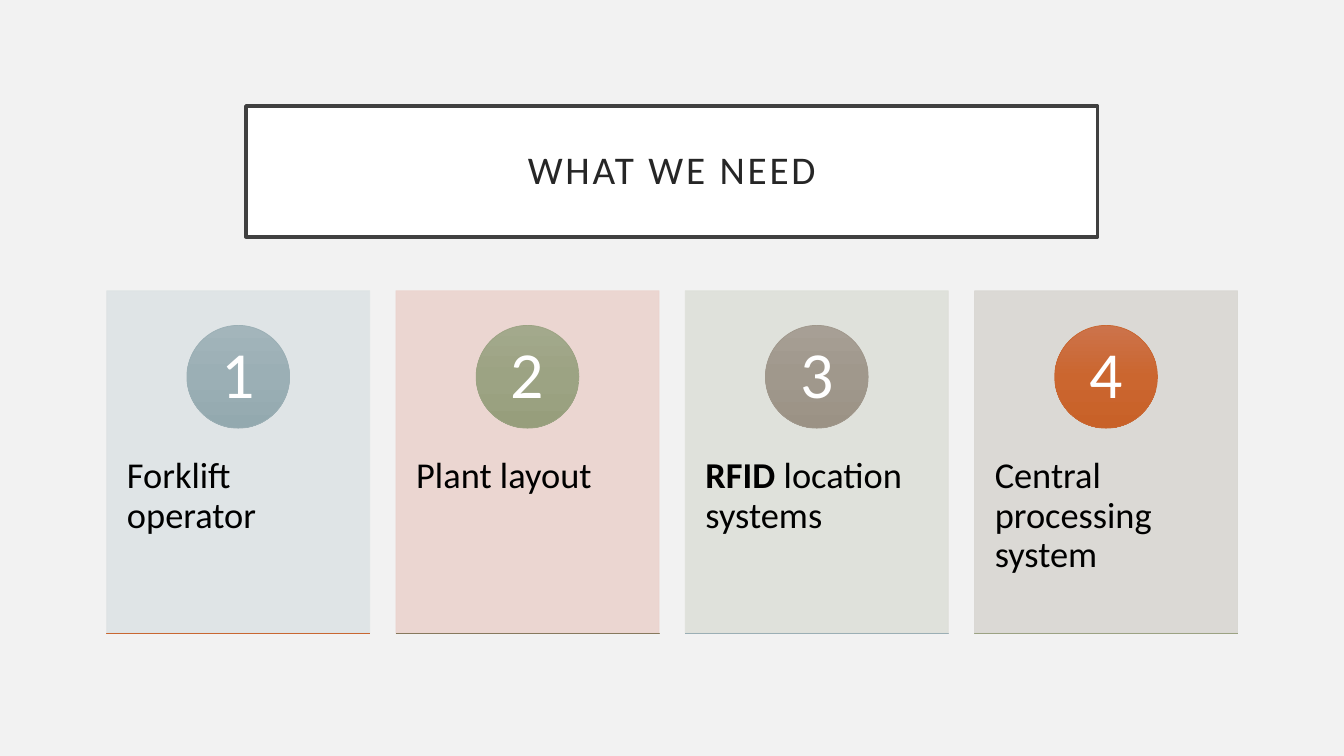
from copy import deepcopy
from dataclasses import dataclass

from lxml.etree import SubElement
from pptx import Presentation
from pptx.dml.color import RGBColor
from pptx.enum.shapes import MSO_SHAPE
from pptx.enum.text import MSO_ANCHOR, MSO_AUTO_SIZE, PP_ALIGN
from pptx.oxml.ns import qn
from pptx.shapes.autoshape import Shape
from pptx.slide import Slide
from pptx.util import Cm, Pt


@dataclass(frozen=True)
class Tone:
    line: str
    stops: tuple[str, str, str]


@dataclass(frozen=True)
class Theme:
    font: str = "Calibri"
    background: str = "F2F2F2"
    title_fill: str = "FFFFFF"
    title_line: str = "404040"
    title_text: str = "262626"
    body_text: str = "000000"
    number_text: str = "FFFFFF"
    title_size: int = 28
    body_size: int = 26
    number_size: int = 47
    blue: Tone = Tone("9BAFB5", ("A3B5BB", "9BAFB5", "93A9AF"))
    green: Tone = Tone("9CA383", ("A3A98C", "9CA383", "979E7C"))
    taupe: Tone = Tone("A0988C", ("A79F95", "A0988C", "9B9285"))
    orange: Tone = Tone("C96731", ("CC734B", "CB662F", "C86128"))
    olive: Tone = Tone("87795D", ("8F8269", "88795C", "847557"))


@dataclass(frozen=True)
class Span:
    text: str
    bold: bool = False


@dataclass(frozen=True)
class Card:
    spans: tuple[Span, ...]
    fill: str
    badge: Tone
    base: Tone


@dataclass(frozen=True)
class Area:
    left: float
    top: float
    width: float
    height: float

    def lengths(self) -> tuple[Cm, Cm, Cm, Cm]:
        return Cm(self.left), Cm(self.top), Cm(self.width), Cm(self.height)


THEME = Theme()
CARDS = (
    Card((Span("Forklift operator"),), "DEE3E5", THEME.blue, THEME.orange),
    Card((Span("Plant layout"),), "EBD3CE", THEME.green, THEME.olive),
    Card((Span("RFID", True), Span(" location systems")), "DEE0D9", THEME.taupe, THEME.blue),
    Card((Span("Central processing system"),), "D9D7D2", THEME.orange, THEME.green),
)
TITLE_AREA = Area(6.2, 2.67, 21.46, 3.3)
CARD_LEFT, CARD_TOP, CARD_WIDTH, CARD_HEIGHT = 2.69, 7.33, 6.63, 8.63
CARD_PITCH = 7.29
BADGE_TOP, BADGE_SIZE, NUMBER_SIZE = 8.2, 2.59, 1.83
BODY_TOP, BODY_HEIGHT = 10.62, 5.18


def rgb(code: str) -> RGBColor:
    return RGBColor.from_string(code)


def set_line(shape: Shape, color: str, width: float) -> None:
    shape.line.color.rgb = rgb(color)
    shape.line.width = Pt(width)


def set_alpha(shape: Shape, percent: int) -> None:
    """Make the solid fill and line of a shape partly transparent."""
    for color in shape.element.spPr.iter(qn("a:srgbClr")):
        SubElement(color, qn("a:alpha"), val=str(percent * 1000))


def set_gradient(shape: Shape, colors: tuple[str, str, str]) -> None:
    """Fill a shape from top to bottom with three evenly spaced colours."""
    shape.fill.gradient()
    shape.fill.gradient_angle = 270
    stop_list = shape.element.spPr.find(".//" + qn("a:gsLst"))
    stop_list.append(deepcopy(stop_list[0]))
    for index, (stop, color) in enumerate(zip(shape.fill.gradient_stops, colors)):
        stop.position = index / 2
        stop.color.rgb = rgb(color)


def add_shape(slide: Slide, kind: MSO_SHAPE, area: Area) -> Shape:
    shape = slide.shapes.add_shape(kind, *area.lengths())
    shape.shadow.inherit = False
    return shape


def write(box: Shape, spans: tuple[Span, ...], size: int, color: str, align: PP_ALIGN,
          anchor: MSO_ANCHOR, inset_x: float, inset_y: float) -> None:
    frame = box.text_frame
    frame.word_wrap = True
    frame.auto_size = MSO_AUTO_SIZE.NONE
    frame.vertical_anchor = anchor
    frame.margin_left = frame.margin_right = Cm(inset_x)
    frame.margin_top = frame.margin_bottom = Cm(inset_y)
    para = frame.paragraphs[0]
    para.alignment = align
    para.line_spacing = 0.9
    for span in spans:
        run = para.add_run()
        run.text = span.text
        run.font.name = THEME.font
        run.font.size = Pt(size)
        run.font.bold = span.bold
        run.font.color.rgb = rgb(color)


def add_title(slide: Slide, text: str) -> None:
    title = slide.shapes.title
    title.left, title.top, title.width, title.height = TITLE_AREA.lengths()
    title.fill.solid()
    title.fill.fore_color.rgb = rgb(THEME.title_fill)
    set_line(title, THEME.title_line, 2.5)
    write(title, (Span(text),), THEME.title_size, THEME.title_text,
          PP_ALIGN.CENTER, MSO_ANCHOR.MIDDLE, 0.51, 0.51)
    for properties in title.element.iter(qn("a:rPr")):
        properties.set("spc", "200")


def add_card(slide: Slide, index: int, card: Card) -> None:
    left = CARD_LEFT + index * CARD_PITCH
    panel = add_shape(slide, MSO_SHAPE.RECTANGLE, Area(left, CARD_TOP, CARD_WIDTH, CARD_HEIGHT))
    panel.fill.solid()
    panel.fill.fore_color.rgb = rgb(card.fill)
    set_line(panel, card.fill, 0.5)
    set_alpha(panel, 90)

    body = slide.shapes.add_textbox(*Area(left, BODY_TOP, CARD_WIDTH, BODY_HEIGHT).lengths())
    write(body, card.spans, THEME.body_size, THEME.body_text,
          PP_ALIGN.LEFT, MSO_ANCHOR.TOP, 0.51, 0.91)

    badge_left = left + (CARD_WIDTH - BADGE_SIZE) / 2
    badge = add_shape(slide, MSO_SHAPE.OVAL, Area(badge_left, BADGE_TOP, BADGE_SIZE, BADGE_SIZE))
    set_gradient(badge, card.badge.stops)
    set_line(badge, card.badge.line, 0.5)

    inset = (BADGE_SIZE - NUMBER_SIZE) / 2
    number = slide.shapes.add_textbox(
        *Area(badge_left + inset, BADGE_TOP + inset, NUMBER_SIZE, NUMBER_SIZE).lengths())
    write(number, (Span(str(index + 1)),), THEME.number_size, THEME.number_text,
          PP_ALIGN.CENTER, MSO_ANCHOR.MIDDLE, 0.2, 0.03)

    base = add_shape(slide, MSO_SHAPE.RECTANGLE,
                     Area(left, CARD_TOP + CARD_HEIGHT, CARD_WIDTH, 0))
    set_gradient(base, card.base.stops)
    set_line(base, card.base.line, 0.5)


def main() -> None:
    deck = Presentation()
    deck.slide_width, deck.slide_height = Cm(33.87), Cm(19.05)
    slide = deck.slides.add_slide(deck.slide_layouts.get_by_name("Title Only"))
    slide.background.fill.solid()
    slide.background.fill.fore_color.rgb = rgb(THEME.background)
    add_title(slide, "WHAT WE NEED")
    for index, card in enumerate(CARDS):
        add_card(slide, index, card)
    deck.save("out.pptx")


if __name__ == "__main__":
    main()
